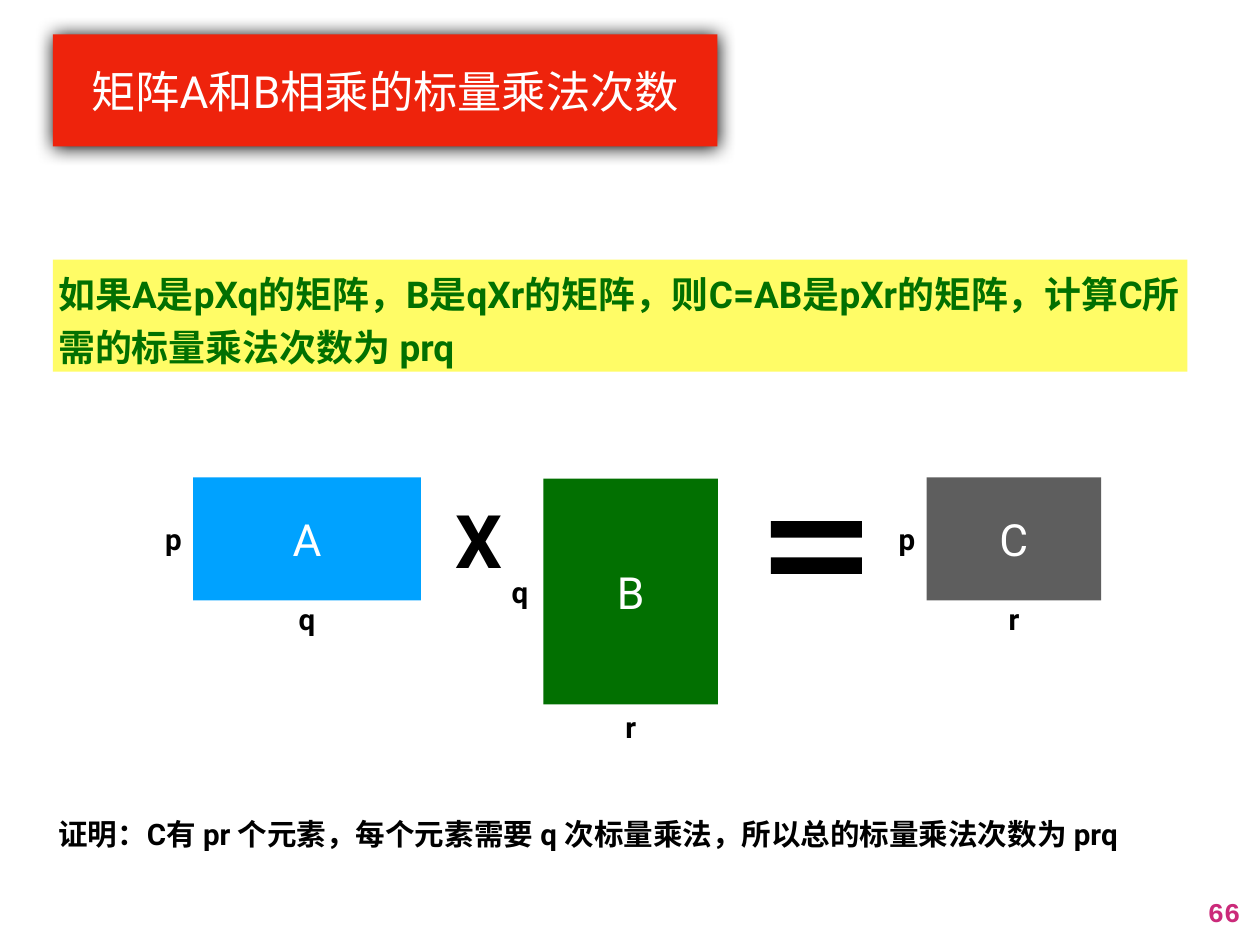
from dataclasses import dataclass

from lxml.etree import SubElement
from pptx import Presentation
from pptx.dml.color import RGBColor
from pptx.enum.shapes import MSO_SHAPE
from pptx.enum.text import MSO_ANCHOR, PP_ALIGN
from pptx.oxml.ns import qn
from pptx.shapes.autoshape import Shape
from pptx.slide import Slide
from pptx.util import Pt

BLACK, WHITE, GREEN = "000000", "FFFFFF", "027001"


@dataclass
class Box:
    left: float
    top: float
    width: float
    height: float


@dataclass
class Matrix:
    name: str
    box: Box
    fill: str
    rows: str
    cols: str
    side_gap: float = 16
    under_gap: float = 15


def rgb(color: str) -> RGBColor:
    return RGBColor.from_string(color)


def add_rect(s: Slide, box: Box, fill: str) -> Shape:
    sp = s.shapes.add_shape(MSO_SHAPE.RECTANGLE, Pt(box.left), Pt(box.top),
                            Pt(box.width), Pt(box.height))
    sp.shadow.inherit = False
    sp.fill.solid()
    sp.fill.fore_color.rgb = rgb(fill)
    sp.line.fill.background()
    return sp


def add_glow(sp: Shape) -> None:
    effects = sp._element.spPr.find(qn("a:effectLst"))
    shadow = SubElement(effects, qn("a:outerShdw"), blurRad=str(Pt(15)),
                        dist=str(Pt(0.7)), dir="5400000", rotWithShape="0")
    SubElement(shadow, qn("a:srgbClr"), val=BLACK)


def set_text(sp: Shape, text: str, size: float, color: str = BLACK, bold: bool = True,
             align: PP_ALIGN = PP_ALIGN.CENTER, wrap: bool = False,
             font: str = "Roboto", inset: float = 4.3) -> None:
    tf = sp.text_frame
    tf.text = text
    tf.word_wrap = wrap
    tf.vertical_anchor = MSO_ANCHOR.MIDDLE
    tf.margin_left = tf.margin_right = tf.margin_top = tf.margin_bottom = Pt(inset)
    p = tf.paragraphs[0]
    p.alignment = align
    for r in p.runs:
        r.font.size, r.font.bold, r.font.name = Pt(size), bold, font
        r.font.color.rgb = rgb(color)
        SubElement(r._r.get_or_add_rPr(), qn("a:ea"), typeface=font)


def add_label(s: Slide, box: Box, text: str, size: float, **style) -> None:
    sp = s.shapes.add_textbox(Pt(box.left), Pt(box.top), Pt(box.width), Pt(box.height))
    set_text(sp, text, size, **style)


def add_dimension(s: Slide, x: float, y: float, text: str) -> None:
    add_label(s, Box(x - 12, y - 18, 24, 36), text, 24)


def add_matrix(s: Slide, m: Matrix) -> None:
    b = m.box
    set_text(add_rect(s, b, m.fill), m.name, 36, WHITE, bold=False)
    add_dimension(s, b.left - m.side_gap, b.top + b.height / 2, m.rows)
    add_dimension(s, b.left + b.width / 2, b.top + b.height + m.under_gap, m.cols)


MATRICES = [
    Matrix("A", Box(157, 388, 185, 100), "00A2FF", "p", "q"),
    Matrix("B", Box(441.5, 389, 142, 183.5), GREEN, "q", "r", 19, 18),
    Matrix("C", Box(753, 388, 142, 100), "5E5E5E", "p", "r"),
]


def main() -> None:
    prs = Presentation()
    prs.slide_width, prs.slide_height = Pt(1024), Pt(768)
    s = prs.slides.add_slide(prs.slide_layouts[6])

    # Title
    title = add_rect(s, Box(43, 28, 540, 91), "EE230C")
    add_glow(title)
    set_text(title, "矩阵A和B相乘的标量乘法次数", 36, WHITE, bold=False, wrap=True, inset=5)

    # Statement
    statement = add_rect(s, Box(43, 211, 922, 91), "FFFC66")
    set_text(statement, "如果A是pXq的矩阵，B是qXr的矩阵，则C=AB是pXr的矩阵，"
             "计算C所需的标量乘法次数为 prq", 30, GREEN, align=PP_ALIGN.LEFT, wrap=True)
    statement.text_frame.paragraphs[0].line_spacing = 1.2

    # Matrix product
    for m in MATRICES:
        add_matrix(s, m)
    add_label(s, Box(365, 398, 49, 80), "X", 60)
    for top in (423.5, 453):
        add_rect(s, Box(626.5, top, 74, 13.5), BLACK)

    # Proof
    add_label(s, Box(43, 659, 888.5, 37), "证明：C有 pr 个元素，每个元素需要 q 次标量乘法，"
              "所以总的标量乘法次数为 prq", 24, align=PP_ALIGN.LEFT, wrap=True)

    # Page number
    add_label(s, Box(975.5, 723, 37.5, 36), "66", 22, color="CB2A7A",
              align=PP_ALIGN.RIGHT, font="Courier New", inset=5)

    prs.save("out.pptx")


if __name__ == "__main__":
    main()
